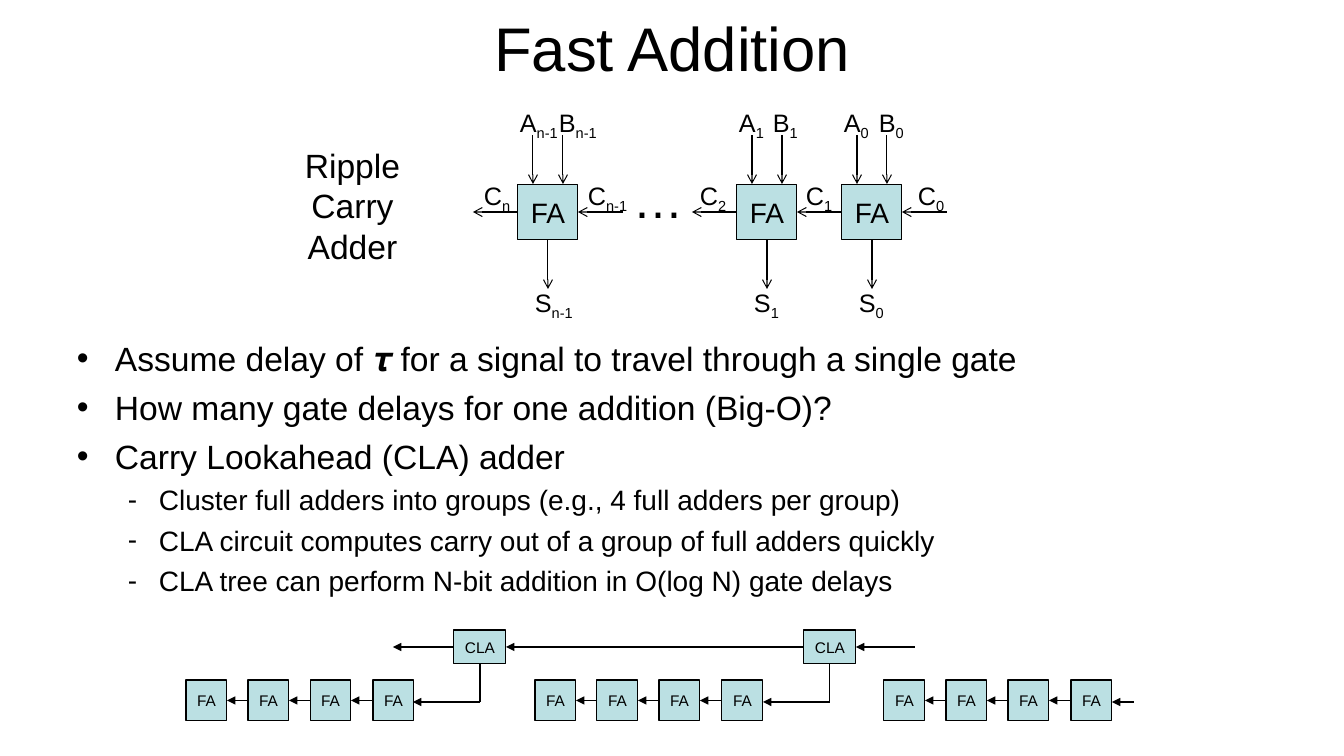
from lxml import etree
from pptx import Presentation
from pptx.dml.color import RGBColor
from pptx.enum.shapes import MSO_CONNECTOR, MSO_SHAPE
from pptx.enum.text import MSO_ANCHOR, MSO_AUTO_SIZE, PP_ALIGN
from pptx.oxml.ns import qn
from pptx.util import Pt

SCALE = 914400 / 100.8
COLORS = {"text": "000000", "line": "000000", "box": "BBE0E3"}
RECT = MSO_SHAPE.RECTANGLE
STRAIGHT = MSO_CONNECTOR.STRAIGHT
MIDDLE = MSO_ANCHOR.MIDDLE
FIT = MSO_AUTO_SIZE.SHAPE_TO_FIT_TEXT
CENTER, LEFT_ALIGN = PP_ALIGN.CENTER, PP_ALIGN.LEFT
TOP, LEFT, BOTTOM, RIGHT = range(4)


def px(n):
    return round(n * SCALE)


class Deck:
    def __init__(self, slide, font="Arial"):
        self.slide = slide
        self.font = font

    def color(self, name):
        return RGBColor.from_string(COLORS[name])

    def style(self, p, size, align=LEFT_ALIGN):
        p.alignment = align
        for r in p.runs:
            r.font.size = Pt(size)
            r.font.name = self.font
            r.font.color.rgb = self.color("text")

    def text(self, x, y, w, h, text, size, align=LEFT_ALIGN, wrap=False):
        sp = self.slide.shapes.add_textbox(px(x), px(y), px(w), px(h))
        tf = sp.text_frame
        tf.word_wrap = wrap
        if not wrap:
            tf.auto_size = FIT
        tf.text = text
        for p in tf.paragraphs:
            self.style(p, size, align)
        return tf

    def label(self, x, y, w, letter, index):
        p = self.text(x, y, w, 40, letter, 18).paragraphs[0]
        r = p.add_run()
        r.text = index
        self.style(p, 18)
        r.font._element.set("baseline", "-25000")

    def bullets(self, x, y, w, h, items):
        tf = self.text(x, y, w, h, "\n".join(t for _, t in items), 24, wrap=True)
        for i, (p, (level, _)) in enumerate(zip(tf.paragraphs, items)):
            margin, hang, char, size, gap = [(38, 38, "•", 24, 6), (82, 31, "-", 20, 5)][level]
            p.level = level
            pPr = p._p.get_or_add_pPr()
            pPr.set("marL", str(px(margin)))
            pPr.set("indent", str(-px(hang)))
            etree.SubElement(pPr, qn("a:buFont")).set("typeface", self.font)
            etree.SubElement(pPr, qn("a:buChar")).set("char", char)
            p.space_before = Pt(gap if i else 0)
            self.style(p, size)
        return tf

    def box(self, x, y, w, h, text, size):
        sp = self.slide.shapes.add_shape(RECT, px(x), px(y), px(w), px(h))
        sp.shadow.inherit = False
        sp.fill.solid()
        sp.fill.fore_color.rgb = self.color("box")
        sp.line.color.rgb = self.color("line")
        sp.line.width = Pt(0.75)
        tf = sp.text_frame
        tf.margin_left = tf.margin_right = tf.margin_top = tf.margin_bottom = 0
        tf.vertical_anchor = MIDDLE
        tf.text = text
        self.style(tf.paragraphs[0], size, CENTER)
        return sp

    def line(self, x1, y1, x2, y2, head=None, begin=None, end=None):
        c = self.slide.shapes.add_connector(STRAIGHT, px(x1), px(y1), px(x2), px(y2))
        if begin:
            c.begin_connect(*begin)
        if end:
            c.end_connect(*end)
        c.line.color.rgb = self.color("line")
        c.line.width = Pt(0.75)
        spPr = c._element.spPr
        if head:
            etree.SubElement(spPr.find(qn("a:ln")), qn("a:tailEnd")).set("type", head)
        etree.SubElement(spPr, qn("a:effectLst"))


def ripple_adder(deck):
    deck.text(294, 140, 117, 132, "Ripple\nCarry\nAdder", 24, CENTER)
    deck.text(623, 163, 72, 72, "…", 36)
    adders = {}
    for index, x, b_shift in (("0", 842, 27), ("1", 737, 26), ("n-1", 518, 31)):
        fa = adders[index] = deck.box(x, 184, 60, 56, "FA", 20)
        w = 61 if index == "n-1" else 46
        for letter, label_shift, shift in (("A", -8, 15), ("B", b_shift, 45)):
            deck.line(x + shift, 135, x + shift, 184, "arrow")
            deck.label(x + label_shift, 102, w, letter, index)
        deck.line(x + 30, 240, x + 30, 289, "arrow", begin=(fa, BOTTOM))
        deck.label(x + 7, 282, w, "S", index)
    first, second, last = adders.values()
    for x, begin, end in (
        (902, None, (first, RIGHT)),
        (797, (first, LEFT), (second, RIGHT)),
        (692, (second, LEFT), None),
        (578, None, (last, RIGHT)),
        (473, (last, LEFT), None),
    ):
        deck.line(x + 45, 212, x, 212, "arrow", begin, end)
    for x, w, index in ((908, 48, "0"), (796, 48, "1"), (690, 48, "2"),
                        (578, 63, "n-1"), (474, 48, "n")):
        deck.label(x, 175, w, "C", index)


def lookahead_adder(deck):
    for group in range(3):
        right = None
        for i in reversed(range(4)):
            x = 186 + 349 * group + 187 * i // 3
            fa = deck.box(x, 680, 41, 41, "FA", 11)
            if right:
                deck.line(x + 62, 700, x + 41, 700, "triangle", (right, LEFT), (fa, RIGHT))
            right = fa
    clas = []
    for x in (454, 804):
        cla = deck.box(x, 630, 52, 34, "CLA", 11)
        deck.line(x + 26, 664, x + 26, 702, begin=(cla, BOTTOM))
        deck.line(x + 26, 702, x - 41, 702, "triangle")
        clas.append(cla)
    low, high = clas
    deck.line(1134, 702, 1112, 702, "triangle")
    deck.line(915, 647, 856, 647, "triangle", end=(high, RIGHT))
    deck.line(804, 647, 506, 647, "triangle", (high, LEFT), (low, RIGHT))
    deck.line(454, 647, 393, 647, "triangle", begin=(low, LEFT))


def main():
    prs = Presentation()
    prs.slide_width, prs.slide_height = px(1344), px(756)
    deck = Deck(prs.slides.add_slide(prs.slide_layouts[6]))
    title = deck.text(244, 4, 857, 86, "Fast Addition", 44, CENTER, wrap=True)
    title.vertical_anchor = MIDDLE
    body = deck.bullets(67, 333, 1210, 271, [
        (0, "Assume delay of 𝝉 for a signal to travel through a single gate"),
        (0, "How many gate delays for one addition (Big-O)?"),
        (0, "Carry Lookahead (CLA) adder"),
        (1, "Cluster full adders into groups (e.g., 4 full adders per group)"),
        (1, "CLA circuit computes carry out of a group of full adders quickly"),
        (1, "CLA tree can perform N-bit addition in O(log N) gate delays"),
    ])
    body.vertical_anchor = MSO_ANCHOR.TOP
    ripple_adder(deck)
    lookahead_adder(deck)
    prs.save("out.pptx")


if __name__ == "__main__":
    main()
